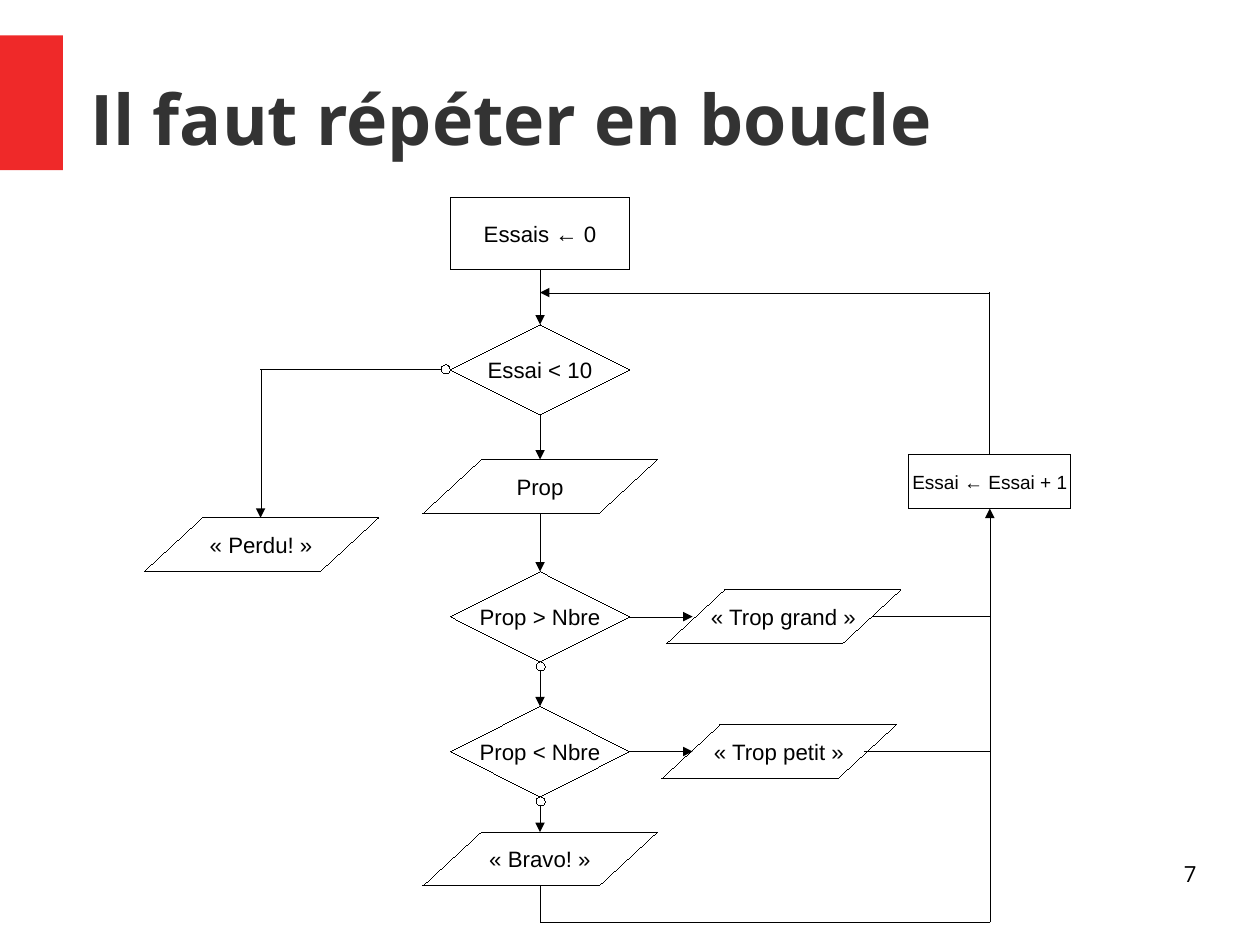
"""Build the flowchart slide showing the guessing game repeated in a loop."""
from lxml.etree import SubElement
from pptx import Presentation
from pptx.dml.color import RGBColor
from pptx.enum.shapes import MSO_CONNECTOR, MSO_SHAPE
from pptx.enum.text import MSO_ANCHOR, PP_ALIGN
from pptx.oxml.ns import qn
from pptx.util import Inches, Pt

RED = RGBColor(0xEF, 0x29, 0x29)
DARK_GRAY = RGBColor(0x33, 0x33, 0x33)
BLACK = RGBColor(0, 0, 0)

CM_PER_INCH = 2.54
HAIRLINE = Pt(0.01)
TOP, LEFT, BOTTOM, RIGHT = range(4)
DIAMOND_LEFT, DIAMOND_WIDTH, DIAMOND_HEIGHT = 3.94, 1.57, 0.79
TEST_TOP, HIGH_TOP, LOW_TOP = 2.84, 5, 6.18
TEST_Y, HIGH_Y, LOW_Y = (
    top + DIAMOND_HEIGHT / 2 for top in (TEST_TOP, HIGH_TOP, LOW_TOP))
MAIN_X = DIAMOND_LEFT + DIAMOND_WIDTH / 2
LOSE_X, LOOP_X = 2.28, 8.66
RETURN_Y, END_Y = 2.56, 8.07
CIRCLE_SIZE = 0.08

SIZES = {
    MSO_SHAPE.RECTANGLE: (DIAMOND_WIDTH, 0.63),
    MSO_SHAPE.DIAMOND: (DIAMOND_WIDTH, DIAMOND_HEIGHT),
    MSO_SHAPE.PARALLELOGRAM: (2.05, 0.47),
}

presentation = Presentation()
presentation.slide_width = Inches(28 / CM_PER_INCH)
presentation.slide_height = Inches(21 / CM_PER_INCH)
slide = presentation.slides.add_slide(presentation.slide_layouts[6])


def add_outline(kind, left, top, width, height):
    shape = slide.shapes.add_shape(
        kind, Inches(left), Inches(top), Inches(width), Inches(height))
    shape.shadow.inherit = False
    shape.fill.background()
    shape.line.color.rgb = BLACK
    shape.line.width = HAIRLINE
    return shape


def write_text(shape, text, size, font_name, color, alignment):
    shape.text_frame.text = text
    paragraph = shape.text_frame.paragraphs[0]
    paragraph.alignment = alignment
    font = paragraph.runs[0].font
    font.name = font_name
    font.size = Pt(size)
    font.color.rgb = color
    return font


accent = add_outline(MSO_SHAPE.RECTANGLE, 0, 0.31, 0.55, 1.18)
accent.fill.solid()
accent.fill.fore_color.rgb = RED
accent.line.fill.background()

labels = [
    ("Il faut répéter en boucle", 0.79, 0.31, 9.68, 1.43, 44, DARK_GRAY,
     PP_ALIGN.LEFT, MSO_ANCHOR.MIDDLE, True),
    ("7", 7.9, 7.53, 2.57, 0.57, 14, BLACK,
     PP_ALIGN.RIGHT, MSO_ANCHOR.TOP, False),
]
for text, left, top, width, height, size, color, alignment, anchor, bold in labels:
    text_box = slide.shapes.add_textbox(
        Inches(left), Inches(top), Inches(width), Inches(height))
    text_frame = text_box.text_frame
    text_frame.word_wrap = True
    text_frame.vertical_anchor = anchor
    text_frame.margin_left = text_frame.margin_right = Inches(0)
    text_frame.margin_top = text_frame.margin_bottom = Inches(0)
    font = write_text(text_box, text, size, "Open Sans", color, alignment)
    font.bold = bold

steps = [
    ("start", MSO_SHAPE.RECTANGLE, DIAMOND_LEFT, 1.73, "Essais ← 0"),
    ("tries left", MSO_SHAPE.DIAMOND, DIAMOND_LEFT, TEST_TOP, "Essai < 10"),
    ("guess", MSO_SHAPE.PARALLELOGRAM, 3.7, 4.02, "Prop"),
    ("lost", MSO_SHAPE.PARALLELOGRAM, 1.26, 4.53, "« Perdu! »"),
    ("above", MSO_SHAPE.DIAMOND, DIAMOND_LEFT, HIGH_TOP, "Prop > Nbre"),
    ("too high", MSO_SHAPE.PARALLELOGRAM, 5.83, 5.16, "« Trop grand »"),
    ("below", MSO_SHAPE.DIAMOND, DIAMOND_LEFT, LOW_TOP, "Prop < Nbre"),
    ("too low", MSO_SHAPE.PARALLELOGRAM, 5.79, 6.34, "« Trop petit »"),
    ("won", MSO_SHAPE.PARALLELOGRAM, 3.7, 7.28, "« Bravo! »"),
    ("increment", MSO_SHAPE.RECTANGLE, 7.95, 3.98, "Essai ← Essai + 1"),
]
step_shapes = {}
for name, kind, left, top, text in steps:
    width, height = (1.42, 0.47) if name == "increment" else SIZES[kind]
    shape = add_outline(kind, left, top, width, height)
    if kind == MSO_SHAPE.PARALLELOGRAM:
        shape.adjustments[0] = 1.083
    shape.text_frame.word_wrap = False
    shape.text_frame.vertical_anchor = MSO_ANCHOR.MIDDLE
    size = 12 if name == "increment" else 14
    write_text(shape, text, size, "Arial", BLACK, PP_ALIGN.CENTER)
    step_shapes[name] = shape

for left, top in [(3.86, 3.19), (4.69, 5.79), (4.69, 6.97)]:
    add_outline(MSO_SHAPE.OVAL, left, top, CIRCLE_SIZE, CIRCLE_SIZE)

links = [
    ((MAIN_X, 2.36), (MAIN_X, TEST_TOP), True, ("start", BOTTOM), ("tries left", TOP)),
    ((MAIN_X, 3.63), (MAIN_X, 4.02), True, ("tries left", BOTTOM), None),
    ((MAIN_X, 4.49), (MAIN_X, HIGH_TOP), True, None, ("above", TOP)),
    ((MAIN_X, 5.87), (MAIN_X, LOW_TOP), True, None, ("below", TOP)),
    ((MAIN_X, 7.05), (MAIN_X, 7.28), True, None, None),
    ((5.51, HIGH_Y), (6.06, HIGH_Y), True, ("above", RIGHT), None),
    ((5.51, LOW_Y), (6.06, LOW_Y), True, ("below", RIGHT), None),
    ((3.86, TEST_Y), (LOSE_X, TEST_Y), False, None, None),
    ((LOSE_X, TEST_Y), (LOSE_X, 4.53), True, None, None),
    ((7.64, HIGH_Y), (LOOP_X, HIGH_Y), False, None, None),
    ((7.56, LOW_Y), (LOOP_X, LOW_Y), False, None, None),
    ((MAIN_X, 7.75), (MAIN_X, END_Y), False, None, None),
    ((LOOP_X, END_Y), (MAIN_X, END_Y), False, None, None),
    ((LOOP_X, END_Y), (LOOP_X, 4.45), True, None, ("increment", BOTTOM)),
    ((LOOP_X, 3.98), (LOOP_X, RETURN_Y), False, ("increment", TOP), None),
    ((LOOP_X, RETURN_Y), (MAIN_X, RETURN_Y), True, None, None),
]
for start, end, has_arrow, source, target in links:
    connector = slide.shapes.add_connector(
        MSO_CONNECTOR.STRAIGHT, *map(Inches, start + end))
    connector.line.color.rgb = BLACK
    connector.line.width = HAIRLINE
    if source:
        connector.begin_connect(step_shapes[source[0]], source[1])
    if target:
        connector.end_connect(step_shapes[target[0]], target[1])
    properties = connector.element.spPr
    if has_arrow:
        SubElement(properties.find(qn("a:ln")), qn("a:tailEnd"), type="triangle")
    SubElement(properties, qn("a:effectLst"))

presentation.save("out.pptx")
